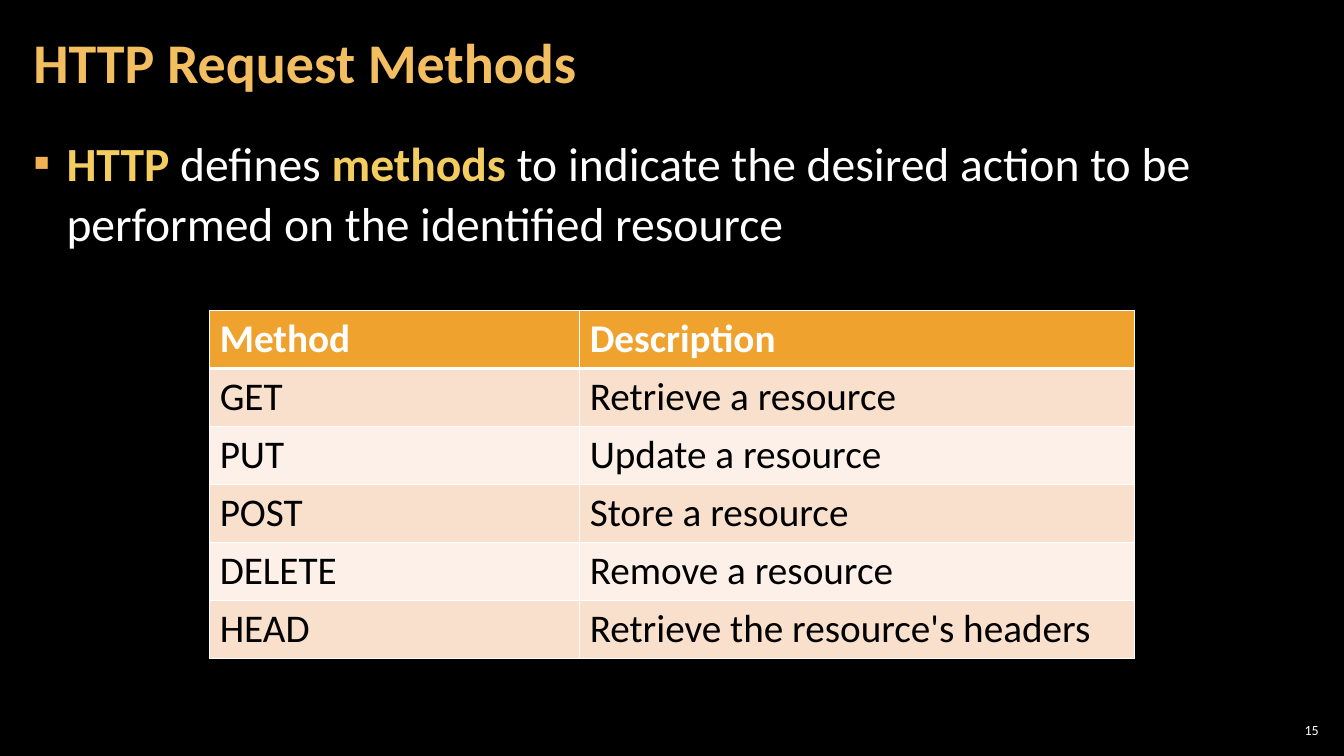
from lxml.etree import SubElement
from pptx import Presentation
from pptx.dml.color import RGBColor
from pptx.enum.text import MSO_ANCHOR as Anchor, MSO_AUTO_SIZE as AutoSize, PP_ALIGN as Align
from pptx.oxml.ns import qn
from pptx.util import Inches, Pt

BLACK = RGBColor(0x00, 0x00, 0x00)
WHITE = RGBColor(0xFF, 0xFF, 0xFF)
TITLE_GOLD = RGBColor(0xF3, 0xBE, 0x60)
KEYWORD_GOLD = RGBColor(0xF3, 0xCD, 0x60)
BULLET_GOLD = RGBColor(0xF2, 0xB2, 0x54)
HEADER_ORANGE = RGBColor(0xF0, 0xA2, 0x2E)
BANDS = RGBColor(0xFC, 0xF0, 0xE8), RGBColor(0xF9, 0xE0, 0xCD)
FONT = "Calibri"

STATEMENT = [
    ("HTTP", True),
    (" defines ", False),
    ("methods ", True),
    ("to indicate the desired action to be performed on the identified resource", False),
]
METHODS = [
    ("Method", "Description"),
    ("GET", "Retrieve a resource"),
    ("PUT", "Update a resource"),
    ("POST", "Store a resource"),
    ("DELETE", "Remove a resource"),
    ("HEAD", "Retrieve the resource's headers"),
]


def set_attributes(target, values):
    for name, value in values.items():
        setattr(target, name, value)


def add_run(paragraph, text, size, color, bold=False):
    run = paragraph.add_run()
    run.text = text
    set_attributes(run.font, {"name": FONT, "size": Pt(size), "bold": bold})
    run.font.color.rgb = color


def place(shape, box, anchor, side_margin):
    """Fit a text shape to box (left, top, width, height in inches)."""
    set_attributes(shape, dict(zip(("left", "top", "width", "height"), map(Inches, box))))
    set_attributes(shape.text_frame, {
        "word_wrap": True,
        "auto_size": AutoSize.NONE,
        "vertical_anchor": anchor,
        "margin_left": Inches(side_margin),
        "margin_right": Inches(side_margin),
        "margin_top": Inches(0.04),
        "margin_bottom": Inches(0.04),
    })
    return shape.text_frame.paragraphs[0]


def add_color(parent, color):
    fill = SubElement(parent, qn("a:solidFill"))
    SubElement(fill, qn("a:srgbClr"), val=str(color))


def add_bullet(paragraph, symbol, color, indent):
    properties = paragraph._p.get_or_add_pPr()
    properties.set("marL", str(Inches(indent)))
    properties.set("indent", str(-Inches(indent)))
    bullet_color = SubElement(properties, qn("a:buClr"))
    SubElement(bullet_color, qn("a:srgbClr"), val=str(color))
    SubElement(properties, qn("a:buFont"), typeface=FONT)
    SubElement(properties, qn("a:buChar"), char=symbol)


def fill_title(title, box):
    heading = place(title, box, Anchor.MIDDLE, 0.12)
    set_attributes(heading, {"alignment": Align.LEFT, "line_spacing": 0.9})
    add_run(heading, "HTTP Request Methods", 40, TITLE_GOLD, True)


def fill_statement(body, box):
    statement = place(body, box, Anchor.TOP, 0.12)
    set_attributes(statement, {
        "alignment": Align.LEFT,
        "line_spacing": 1.05,
        "space_before": Pt(6),
        "space_after": Pt(6),
    })
    add_bullet(statement, "▪", BULLET_GOLD, 0.33)
    for text, is_keyword in STATEMENT:
        add_run(statement, text, 34, KEYWORD_GOLD if is_keyword else WHITE, is_keyword)


def add_borders(cell, widths):
    properties = cell._tc.get_or_add_tcPr()
    for side, width in widths.items():
        border = SubElement(properties, qn(f"a:ln{side}"), w=str(Pt(width)))
        add_color(border, WHITE)


def add_methods_table(slide, box, column_widths):
    table = slide.shapes.add_table(
        len(METHODS), len(column_widths), *map(Inches, box)).table
    for column, width in zip(table.columns, column_widths):
        column.width = Inches(width)
    for row, texts in enumerate(METHODS):
        is_header = row == 0
        for column, text in enumerate(texts):
            cell = table.cell(row, column)
            add_borders(cell, {"L": 1, "R": 1,
                               "T": 3 if row == 1 else 1,
                               "B": 3 if is_header else 1})
            cell.fill.solid()
            cell.fill.fore_color.rgb = HEADER_ORANGE if is_header else BANDS[row % 2]
            add_run(cell.text_frame.paragraphs[0], text, 28,
                    WHITE if is_header else BLACK, is_header)


def add_page_number(slide, box):
    number = place(slide.shapes.add_textbox(0, 0, 0, 0), box, Anchor.MIDDLE, 0.04)
    number.alignment = Align.RIGHT
    add_run(number, "15", 10, WHITE)


def main():
    deck = Presentation()
    set_attributes(deck, {"slide_width": Inches(13.33), "slide_height": Inches(7.5)})
    slide = deck.slides.add_slide(deck.slide_layouts[1])
    slide.background.fill.solid()
    slide.background.fill.fore_color.rgb = BLACK
    title, body = slide.placeholders
    fill_title(title, (0.21, 0.04, 10.47, 1.21))
    fill_statement(body, (0.21, 1.26, 12.91, 6.09))
    add_methods_table(slide, (2.08, 3.08, 9.17, 3.42), (3.67, 5.5))
    add_page_number(slide, (12.65, 7.14, 0.47, 0.21))
    deck.save("out.pptx")


if __name__ == "__main__":
    main()
